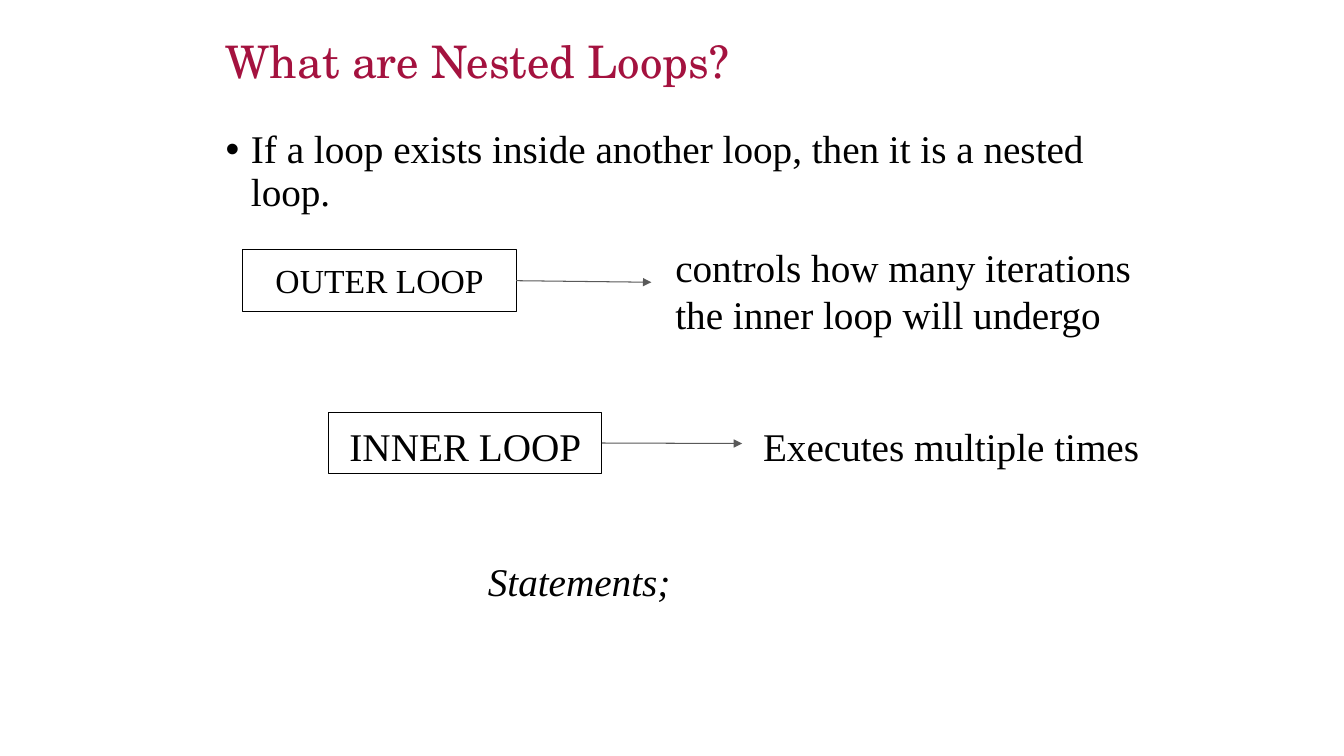
from typing import NamedTuple

from lxml.etree import SubElement
from pptx import Presentation
from pptx.dml.color import RGBColor
from pptx.enum.shapes import MSO_CONNECTOR as Connector, MSO_SHAPE as Preset
from pptx.enum.text import MSO_ANCHOR as Anchor, PP_ALIGN as Align
from pptx.oxml.ns import qn
from pptx.util import Inches, Pt

BLACK = RGBColor(0x00, 0x00, 0x00)
CRIMSON = RGBColor(0xA4, 0x12, 0x3F)
GRAY = RGBColor(0x59, 0x59, 0x59)
BODY_FONT = "Times New Roman"
TITLE_FONT = "TeX Gyre Schola"
BOX_WIDTH, BOX_HEIGHT = 2.71, 0.61
INDENT = 0.25


class Area(NamedTuple):
    left: float
    top: float
    width: float
    height: float


class Loop(NamedTuple):
    name: str
    size: int
    left: float
    top: float
    arrow_end: tuple[float, float]
    meaning: str
    meaning_area: Area


LOOPS = [
    Loop("OUTER LOOP", 24, 2.41, 2.48, (6.46, 2.8),
         "controls how many iterations the inner loop will undergo",
         Area(6.6, 2.31, 4.73, 0.87)),
    Loop("INNER LOOP", 28, 3.26, 4.09, (7.36, 4.4),
         "Executes multiple times", Area(7.47, 4.09, 4.03, 0.43)),
]


def write(shape, text: str, *, size: float = 28, font: str = BODY_FONT,
          color: RGBColor = BLACK, italic: bool = False, align=Align.LEFT,
          anchor=Anchor.TOP, margin: float = 0.1, spacing: float = 1.0,
          before: float = 0):
    """Fill a shape with one formatted paragraph and return the paragraph."""
    frame = shape.text_frame
    frame.word_wrap = True
    frame.vertical_anchor = anchor
    frame.margin_left = frame.margin_right = Inches(0.1)
    frame.margin_top = frame.margin_bottom = Inches(margin)
    para = frame.paragraphs[0]
    para.alignment = align
    para.line_spacing = spacing
    para.space_before = Pt(before)
    span = para.add_run()
    span.text = text
    span.font.size = Pt(size)
    span.font.name = font
    span.font.italic = italic
    span.font.color.rgb = color
    return para


def add_text(page, area: Area, text: str, **style):
    box = page.shapes.add_textbox(*map(Inches, area))
    return write(box, text, **style)


def add_bullet(para) -> None:
    props = para._p.get_or_add_pPr()
    props.set("marL", str(Inches(INDENT)))
    props.set("indent", str(-Inches(INDENT)))
    SubElement(props, qn("a:buFont"), typeface="Arial")
    SubElement(props, qn("a:buChar"), char="•")


def add_arrow(page, start: tuple[float, float], end: tuple[float, float]) -> None:
    arrow = page.shapes.add_connector(Connector.STRAIGHT, *map(Inches, start + end))
    arrow.line.color.rgb = GRAY
    arrow.line.width = Pt(0.75)
    SubElement(arrow.line._get_or_add_ln(), qn("a:tailEnd"), type="triangle")
    SubElement(arrow._element.spPr, qn("a:effectLst"))


def add_loop(page, loop: Loop) -> None:
    """Draw a loop's box, its arrow and what the loop does."""
    area = Area(loop.left, loop.top, BOX_WIDTH, BOX_HEIGHT)
    box = page.shapes.add_shape(Preset.RECTANGLE, *map(Inches, area))
    box.shadow.inherit = False
    box.fill.background()
    box.line.color.rgb = BLACK
    box.line.width = Pt(0.75)
    write(box, loop.name, size=loop.size, align=Align.CENTER)
    add_arrow(page, (loop.left + BOX_WIDTH, loop.top + BOX_HEIGHT / 2), loop.arrow_end)
    add_text(page, loop.meaning_area, loop.meaning)


def main() -> None:
    deck = Presentation()
    deck.slide_width, deck.slide_height = Inches(13.33), Inches(7.5)
    page = deck.slides.add_slide(deck.slide_layouts[5])

    # Title
    title = page.shapes.title
    title.left, title.top, title.width, title.height = map(
        Inches, Area(2.14, 0.38, 9.19, 0.51))
    write(title, "What are Nested Loops?", size=32, font=TITLE_FONT, color=CRIMSON,
          anchor=Anchor.MIDDLE, margin=0.05, spacing=0.9)

    # Definition
    definition = add_text(
        page, Area(2.14, 1.24, 9.19, 5.37),
        "If a loop exists inside another loop, then it is a nested loop.",
        margin=0.05, spacing=0.9, before=10)
    add_bullet(definition)

    # Loops and the statements inside them
    for loop in LOOPS:
        add_loop(page, loop)
    add_text(page, Area(4.74, 5.43, 2.62, 0.23), "Statements;", italic=True)

    deck.save("out.pptx")


if __name__ == "__main__":
    main()
